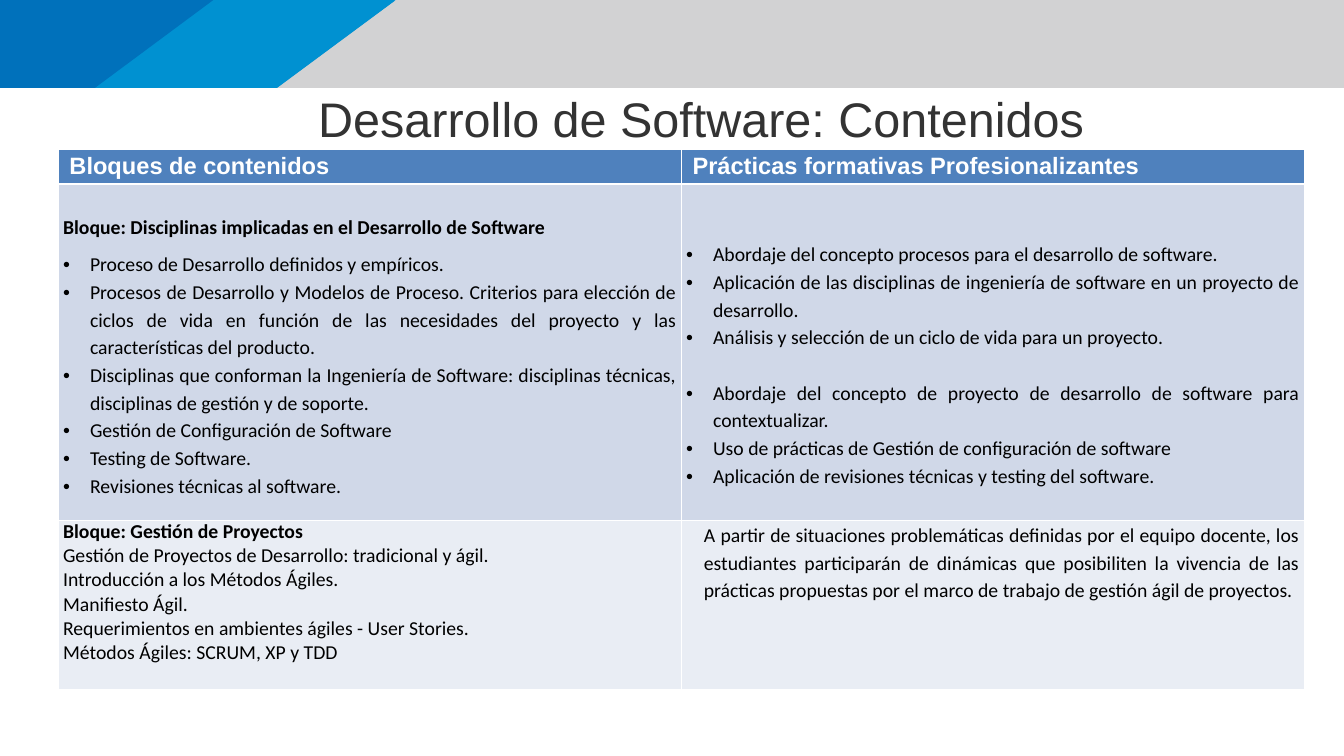
"""Build the slide on software development contents."""
from dataclasses import dataclass

from pptx import Presentation
from pptx.dml.color import RGBColor
from pptx.enum import text as t
from pptx.oxml import parse_xml
from pptx.oxml.ns import nsdecls
from pptx.slide import Slide
from pptx.table import _Cell
from pptx.text.text import _Paragraph
from pptx.util import Inches, Pt


@dataclass(frozen=True)
class Theme:
    grey: str = "D2D2D3"
    sky: str = "0091D1"
    blue: str = "0071BB"
    header: str = "4F81BD"
    blocks: tuple[str, str] = ("D0D8E8", "E9EDF4")
    white: str = "FFFFFF"
    black: str = "000000"
    title: str = "333333"
    heading_font: str = "Arial"
    body_font: str = "Calibri"
    title_size: float = 49.3
    header_size: float = 24
    body_size: float = 20


@dataclass(frozen=True)
class Band:
    top: float
    top_right: float
    bottom_right: float
    colour: str


@dataclass(frozen=True)
class Line:
    words: str
    bold: bool = False
    bullet: bool = False
    justified: bool = False
    spacing: float = 1.15
    before: float = 0
    after: float = 0
    indent: float = 0


@dataclass(frozen=True)
class Content:
    lines: list[Line]
    top: float = 0
    left: float = 0.07


THEME = Theme()
WIDTH, HEIGHT, BAND_BOTTOM = 18.96, 10.67, 1.24
COLUMN_WIDTH = 8.79
ROW_HEIGHTS = (0.49, 4.74, 2.39)
LINE_HEIGHT = 0.39

BANDS = (
    Band(0, WIDTH, WIDTH, THEME.grey),
    Band(0, 5.58, 3.9, THEME.sky),
    Band(0.01, 5.57, 3.91, THEME.sky),
    Band(0, 3.01, 1.34, THEME.blue),
)


def bullet(words: str, before: float = 0) -> Line:
    """Describe a justified bullet."""
    return Line(words, bullet=True, justified=True, before=before)


def single(words: str, bold: bool = False) -> Line:
    """Describe a single-spaced line."""
    return Line(words, bold=bold, spacing=1)


HEADERS = [
    Content([Line(words, bold=True)], left=0.16)
    for words in ("Bloques de contenidos", "Prácticas formativas Profesionalizantes")
]
DISCIPLINES = Content([
    Line("Bloque: Disciplinas implicadas en el Desarrollo de Software", bold=True, after=10),
    bullet("Proceso de Desarrollo definidos y empíricos."),
    bullet("Procesos de Desarrollo y Modelos de Proceso. Criterios para elección de ciclos de vida "
           "en función de las necesidades del proyecto y las características del producto."),
    bullet("Disciplinas que conforman la Ingeniería de Software: disciplinas técnicas, "
           "disciplinas de gestión y de soporte."),
    bullet("Gestión de Configuración de Software"),
    bullet("Testing de Software."),
    bullet("Revisiones técnicas al software."),
], top=LINE_HEIGHT)
DISCIPLINE_PRACTICES = Content([
    bullet("Abordaje del concepto procesos para el desarrollo de software."),
    bullet("Aplicación de las disciplinas de ingeniería de software en un proyecto de desarrollo."),
    bullet("Análisis y selección de un ciclo de vida para un proyecto."),
    bullet("Abordaje del concepto de proyecto de desarrollo de software para contextualizar.",
           before=28),
    bullet("Uso de prácticas de Gestión de configuración de software"),
    bullet("Aplicación de revisiones técnicas y testing del software."),
], top=2 * LINE_HEIGHT)
MANAGEMENT = Content([
    single("Bloque: Gestión de Proyectos", bold=True),
    single("Gestión de Proyectos de Desarrollo: tradicional y ágil."),
    single("Introducción a los Métodos Ágiles."),
    single("Manifiesto Ágil."),
    single("Requerimientos en ambientes ágiles - User Stories."),
    single("Métodos Ágiles: SCRUM, XP y TDD"),
])
MANAGEMENT_PRACTICES = Content([
    Line("A partir de situaciones problemáticas definidas por el equipo docente, los estudiantes "
         "participarán de dinámicas que posibiliten la vivencia de las prácticas propuestas por "
         "el marco de trabajo de gestión ágil de proyectos.", justified=True, indent=0.25),
])
ROWS = (HEADERS, [DISCIPLINES, DISCIPLINE_PRACTICES], [MANAGEMENT, MANAGEMENT_PRACTICES])


def set_font(paragraph: _Paragraph, name: str, size: float, colour: str, bold: bool) -> None:
    """Set the font of a whole paragraph."""
    font = paragraph.font
    font.name, font.size, font.bold = name, Pt(size), bold
    font.color.rgb = RGBColor.from_string(colour)


def draw_band(slide: Slide, band: Band) -> None:
    """Draw one slanted band of the page header."""
    builder = slide.shapes.build_freeform(0, Inches(band.top))
    builder.add_line_segments([
        (Inches(band.top_right), Inches(band.top)),
        (Inches(band.bottom_right), Inches(BAND_BOTTOM)),
        (0, Inches(BAND_BOTTOM)),
    ])
    shape = builder.convert_to_shape()
    shape.shadow.inherit = False
    shape.fill.solid()
    shape.fill.fore_color.rgb = RGBColor.from_string(band.colour)
    shape.line.fill.background()


def draw_title(slide: Slide) -> None:
    """Place and format the slide title."""
    title = slide.shapes.title
    title.left, title.top = Inches(4.23), Inches(1.25)
    title.width, title.height = Inches(11.33), Inches(1.66)
    frame = title.text_frame
    frame.margin_left = frame.margin_right = frame.margin_top = frame.margin_bottom = 0
    frame.vertical_anchor = t.MSO_ANCHOR.TOP
    frame.auto_size = t.MSO_AUTO_SIZE.NONE
    frame.text = "Desarrollo de Software: Contenidos"
    heading = frame.paragraphs[0]
    heading.alignment = t.PP_ALIGN.CENTER
    set_font(heading, THEME.heading_font, THEME.title_size, THEME.title, False)


def write_line(paragraph: _Paragraph, line: Line, is_header: bool) -> None:
    """Write one line of a cell."""
    paragraph.text = line.words
    paragraph.alignment = t.PP_ALIGN.JUSTIFY if line.justified else t.PP_ALIGN.LEFT
    paragraph.line_spacing = line.spacing
    paragraph.space_before, paragraph.space_after = Pt(line.before), Pt(line.after)
    properties = paragraph._p.get_or_add_pPr()
    hanging = 0.38 if line.bullet else 0
    properties.set("marL", str(Inches(line.indent + hanging)))
    properties.set("indent", str(Inches(-hanging)))
    if line.bullet:
        properties.append(parse_xml(f'<a:buFont {nsdecls("a")} typeface="Arial"/>'))
        properties.append(parse_xml(f'<a:buChar {nsdecls("a")} char="•"/>'))
    if is_header:
        set_font(paragraph, THEME.heading_font, THEME.header_size, THEME.white, line.bold)
    else:
        set_font(paragraph, THEME.body_font, THEME.body_size, THEME.black, line.bold)


def draw_cell(cell: _Cell, content: Content, row: int) -> None:
    """Fill, frame and write one cell."""
    cell.margin_left, cell.margin_right = Inches(content.left), Inches(0.07)
    cell.margin_top, cell.margin_bottom = Inches(content.top), 0
    cell.vertical_anchor = t.MSO_ANCHOR.TOP
    widths = {"lnL": 1, "lnR": 1, "lnT": 3 if row == 1 else 1, "lnB": 3 if row == 0 else 1}
    for side, width in widths.items():
        cell._tc.get_or_add_tcPr().append(parse_xml(
            f'<a:{side} {nsdecls("a")} w="{Pt(width)}"><a:solidFill>'
            f'<a:srgbClr val="{THEME.white}"/></a:solidFill></a:{side}>'))
    cell.fill.solid()
    cell.fill.fore_color.rgb = RGBColor.from_string((THEME.header, *THEME.blocks)[row])
    frame = cell.text_frame
    for index, line in enumerate(content.lines):
        paragraph = frame.add_paragraph() if index else frame.paragraphs[0]
        write_line(paragraph, line, row == 0)


def draw_contents(slide: Slide) -> None:
    """Draw the table of blocks and practices."""
    table = slide.shapes.add_table(
        len(ROWS), 2, Inches(0.82), Inches(2.11),
        Inches(2 * COLUMN_WIDTH), Inches(sum(ROW_HEIGHTS))).table
    table.first_row = table.horz_banding = False
    for column in table.columns:
        column.width = Inches(COLUMN_WIDTH)
    for row, contents in enumerate(ROWS):
        table.rows[row].height = Inches(ROW_HEIGHTS[row])
        for column, content in enumerate(contents):
            draw_cell(table.cell(row, column), content, row)


def main() -> None:
    """Build and save the presentation."""
    deck = Presentation()
    deck.slide_width, deck.slide_height = Inches(WIDTH), Inches(HEIGHT)
    slide = deck.slides.add_slide(deck.slide_layouts[5])
    for band in BANDS:
        draw_band(slide, band)
    draw_title(slide)
    draw_contents(slide)
    deck.save("out.pptx")


if __name__ == "__main__":
    main()
